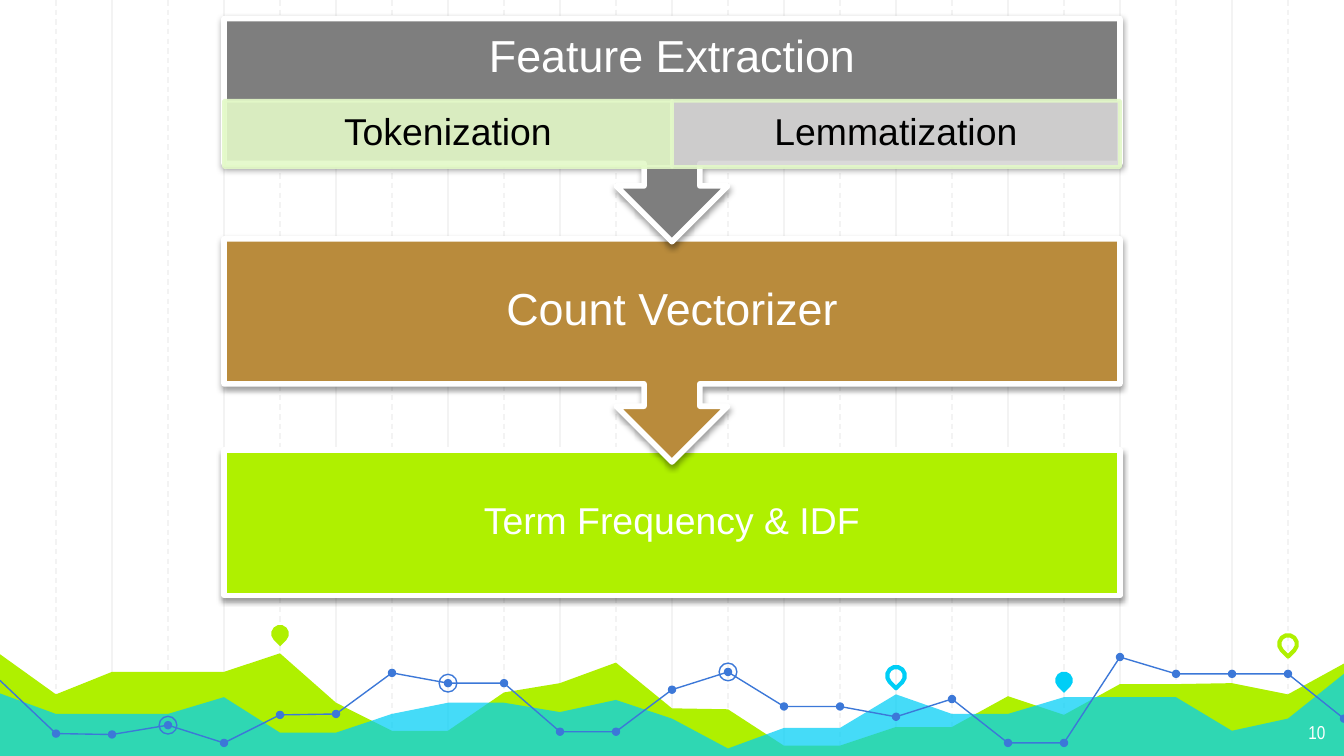
from dataclasses import dataclass

from lxml.etree import SubElement
from pptx import Presentation
from pptx.dml.color import RGBColor
from pptx.enum.dml import MSO_LINE_DASH_STYLE as Dash
from pptx.enum.shapes import MSO_CONNECTOR as Conn, MSO_SHAPE as Kind
from pptx.enum.text import MSO_ANCHOR as Anchor, PP_ALIGN as Align
from pptx.oxml.ns import qn
from pptx.util import Pt


@dataclass(frozen=True)
class Theme:
    white: str = "FFFFFF"
    black: str = "000000"
    guide: str = "F3F3F3"
    lime: str = "AFF000"
    cyan: str = "00CEF6"
    blue: str = "3C78D8"
    gold: str = "B98B3C"
    gray: str = "7E7E7E"
    mint: str = "E3F9C8"
    silver: str = "D6D5D5"
    font: str = "Arial"
    narrow: str = "Arial Narrow"
    head: int = 24
    body: int = 20
    page: int = 10


T = Theme()
WIDE, HIGH, STEP = 720, 405, 30
LEFT, SPAN, BOX = 120, 480, 78

# Heights of the three series, one value per guide
LIME = [350.5, 372, 360, 360, 360, 350, 376.5, 391.5, 391.5, 371, 366, 355,
        379.5, 380, 399.5, 399.5, 389.5, 389.5, 373, 383, 366.5, 366.5, 366,
        372, 355.5]
CYAN = [371.5, 382.5, 382.5, 382.5, 373.5, 392.5, 392.5, 382.5, 376.5, 376.5,
        381.5, 375, 385, 401, 390, 390, 372, 382.5, 382.5, 373.5, 373.5,
        373.5, 391.5, 385, 361]
TREND = [364.5, 393, 393.5, 388.5, 398, 383, 382.5, 360.5, 366, 366, 392, 392,
         369.5, 360, 378.5, 378.5, 384, 374.5, 398, 398, 352, 361, 361, 361,
         385]
RINGS = (3, 8, 13)


def tint(fill, color, alpha=100):
    """Set a solid fill, with alpha as percent opacity."""
    fill.solid()
    fill.fore_color.rgb = RGBColor.from_string(color)
    if alpha < 100:
        node = fill._xPr.find(".//" + qn("a:srgbClr"))
        SubElement(node, qn("a:alpha"), val=str(alpha * 1000))


def paint(shape, fill=None, line=None, width=0.75, alpha=100):
    shape.shadow.inherit = False
    if fill:
        tint(shape.fill, fill, alpha)
    else:
        shape.fill.background()
    if line:
        shape.line.width = Pt(width)
        tint(shape.line.fill, line, alpha)
    else:
        shape.line.fill.background()


def drop(shape):
    """Cast a soft shadow straight down."""
    effects = shape._element.spPr.find(qn("a:effectLst"))
    outer = SubElement(effects, qn("a:outerShdw"), blurRad=str(Pt(3.1)),
                       dist=str(Pt(1.6)), dir="5400000", rotWithShape="0")
    color = SubElement(outer, qn("a:srgbClr"), val=T.black)
    SubElement(color, qn("a:alpha"), val="38000")


def write(shape, text, size, color, pad, font=T.font, align=Align.CENTER,
          anchor=Anchor.MIDDLE, space=0.9):
    """Fill in the text; pad is left and right, top, bottom."""
    frame = shape.text_frame
    frame.word_wrap = True
    frame.vertical_anchor = anchor
    side, top, low = pad
    frame.margin_left = frame.margin_right = Pt(side)
    frame.margin_top, frame.margin_bottom = Pt(top), Pt(low)
    para = frame.paragraphs[0]
    para.text, para.alignment, para.line_spacing = text, align, space
    para.font.name, para.font.size = font, Pt(size)
    para.font.color.rgb = RGBColor.from_string(color)


def add(shapes, kind, x, y, w, h):
    return shapes.add_shape(kind, Pt(x), Pt(y), Pt(w), Pt(h))


def mark(shapes, kind, x, y, size, **style):
    """Add a small shape centred on a point."""
    shape = add(shapes, kind, x - size / 2, y - size / 2, size, size)
    paint(shape, **style)
    return shape


def guide(shapes, i):
    x = Pt(i * STEP)
    line = shapes.add_connector(Conn.STRAIGHT, x, 0, x, Pt(HIGH))
    line.line.width = Pt(0.75)
    tint(line.line.fill, T.guide)
    if i % 2:
        line.line.dash_style = Dash.DASH
    SubElement(line._element.spPr, qn("a:effectLst"))


def trace(shapes, series, area=False, **style):
    """Draw a series as a line, or as an area down to the slide's foot."""
    spots = [(i * STEP, y) for i, y in enumerate(series)]
    if area:
        spots += [(WIDE, HIGH + 2), (0, HIGH + 2)]
    spots = [(Pt(x), Pt(y)) for x, y in spots]
    path = shapes.build_freeform(*spots[0], scale=1.0)
    path.add_line_segments(spots[1:], close=area)
    paint(path.convert_to_shape(), **style)


def pin(shapes, i, y, **style):
    mark(shapes, Kind.TEAR, i * STEP, y, 9.5, **style).rotation = 135


def scene(shapes):
    for i in range(1, 24):
        guide(shapes, i)
    trace(shapes, LIME, area=True, fill=T.lime)
    trace(shapes, CYAN, area=True, fill=T.cyan, alpha=73)
    trace(shapes, TREND, line=T.blue)
    for i, y in enumerate(TREND[1:], 1):
        mark(shapes, Kind.OVAL, i * STEP, y, 4.5, fill=T.blue)
    for i in RINGS:
        mark(shapes, Kind.OVAL, i * STEP, TREND[i], 9.5, line=T.blue)
    pin(shapes, 5, 339.5, fill=T.lime)
    pin(shapes, 16, 362, line=T.cyan, width=2.25)
    pin(shapes, 19, 364.5, fill=T.cyan)
    pin(shapes, 23, 345, line=T.lime, width=2.25)


def stage(shapes, kind, y, high, color, text, size, pad):
    shape = add(shapes, kind, LEFT, y, SPAN, high)
    paint(shape, fill=color, line=T.white, width=3)
    drop(shape)
    write(shape, text, size, T.white, pad)


def part(shapes, i, color, text):
    half = SPAN / 2
    shape = add(shapes, Kind.RECTANGLE, LEFT + i * half, 54, half, 35.5)
    paint(shape, fill=color, line=T.mint, width=2, alpha=90)
    write(shape, text, T.body, T.black, (11.5, 2, 2))


def flow(shapes):
    arrow, tall = Kind.DOWN_ARROW_CALLOUT, 119.5
    stage(shapes, Kind.RECTANGLE, 241, BOX, T.lime, "Term Frequency & IDF",
          T.body, (11.5, 11.5, 11.5))
    stage(shapes, arrow, 128, tall, T.gold, "Count Vectorizer",
          T.head, (13.5, 13.5, 13.5))
    stage(shapes, arrow, 10, tall, T.gray, "Feature Extraction",
          T.head, (13.5, 4, 40))
    part(shapes, 0, T.mint, "Tokenization")
    part(shapes, 1, T.silver, "Lemmatization")


def folio(shapes):
    box = shapes.add_textbox(Pt(674), Pt(380), Pt(43), Pt(25))
    write(box, "10", T.page, T.white, (7.2, 7.2, 7.2), font=T.narrow,
          align=Align.RIGHT, anchor=Anchor.TOP, space=1.0)


def main():
    deck = Presentation()
    deck.slide_width, deck.slide_height = Pt(WIDE), Pt(HIGH)
    shapes = deck.slides.add_slide(deck.slide_layouts[6]).shapes
    scene(shapes)
    folio(shapes)
    flow(shapes)
    deck.save("out.pptx")


if __name__ == "__main__":
    main()
